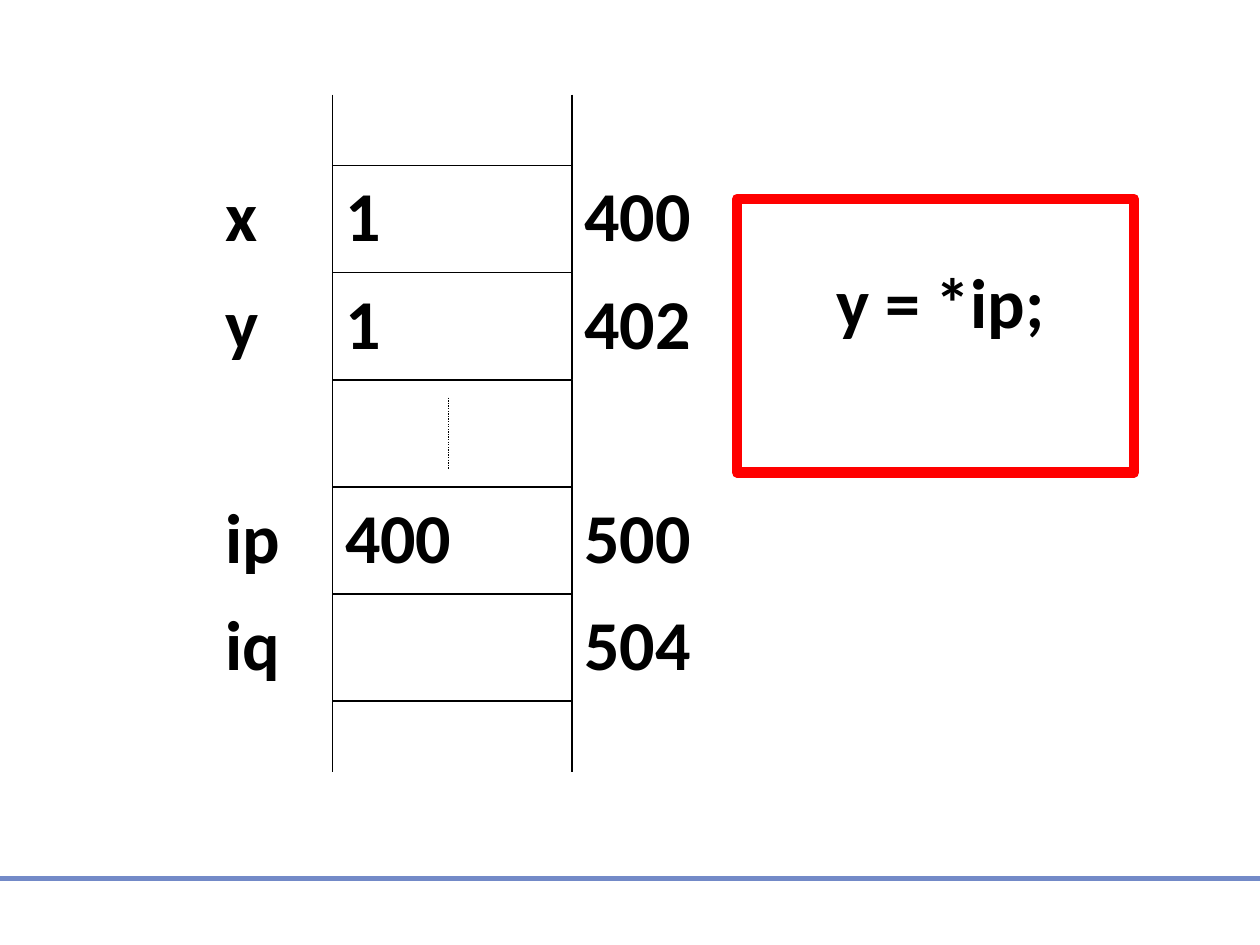
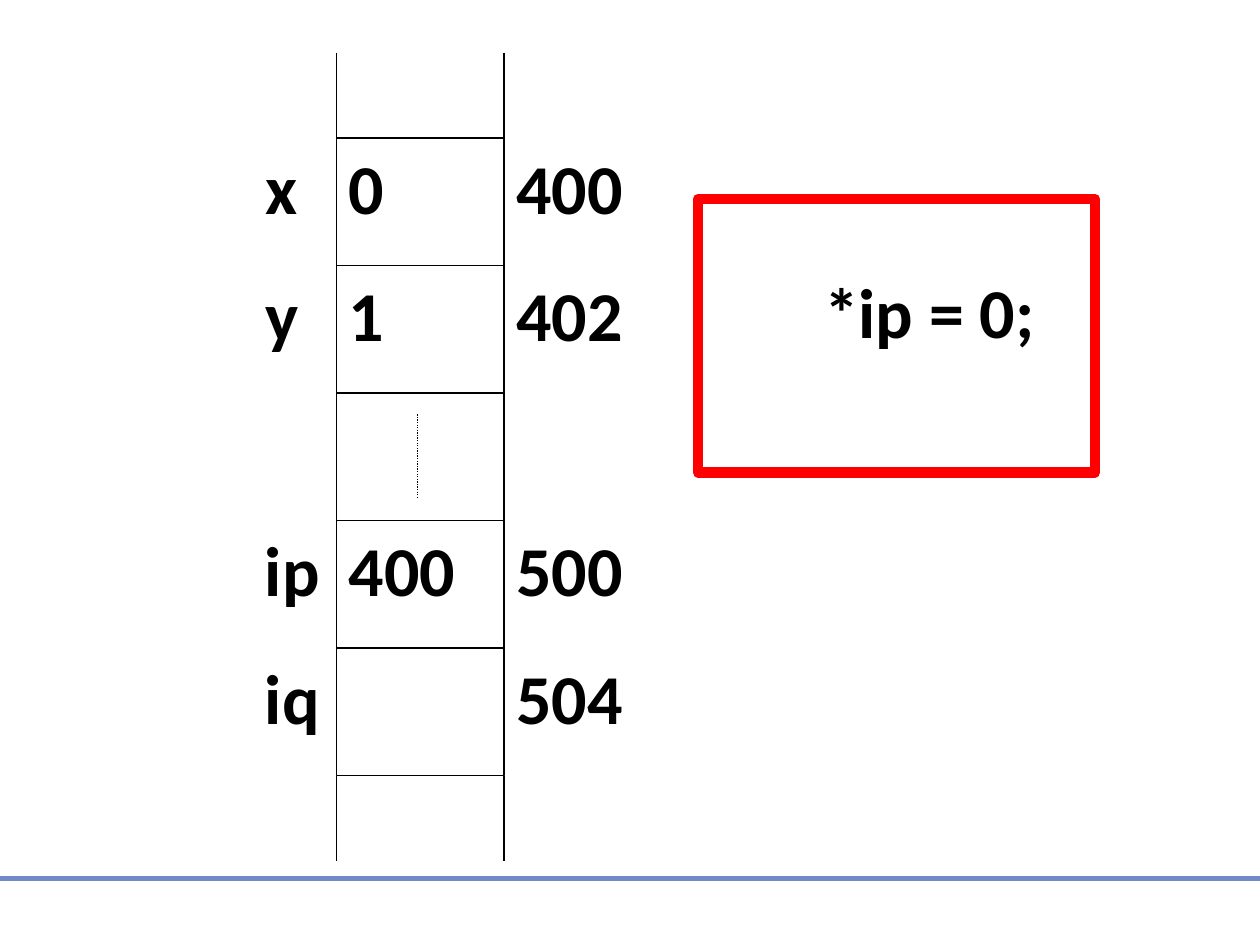
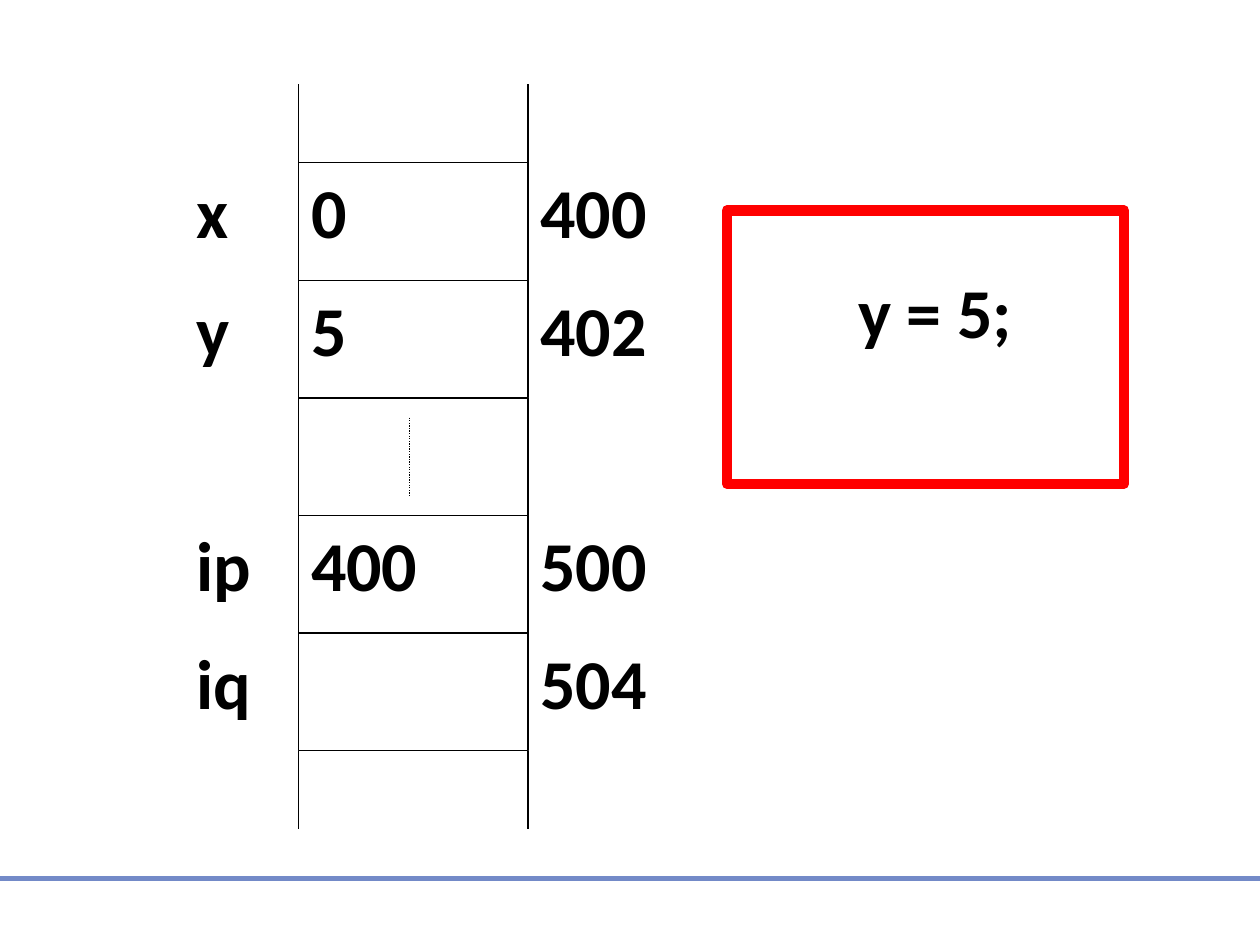
from lxml import etree
from pptx import Presentation
from pptx.dml.color import RGBColor
from pptx.enum import dml, shapes, text
from pptx.oxml import ns
from pptx.util import Inches, Pt

BLACK = RGBColor(0x00, 0x00, 0x00)
WHITE = RGBColor(0xFF, 0xFF, 0xFF)
RED = RGBColor(0xFF, 0x00, 0x00)
BLUE = RGBColor(0x73, 0x8A, 0xC8)

WIDTH, HEIGHT = 10, 7.5
FOOTER_TOP = 0.93 * HEIGHT
FRAME_SIZE = (3.15, 2.17)
TAIL = 2 / 3  # length of the open ends and of the dots, in rows

NAMES = ["x", "y", "", "ip", "iq"]
ADDRESSES = ["400", "402", "", "500", "504"]
GAP_ROW = 2

# memory: left, top, width, height of the cell column with its open ends
# statement: left, top, width, height of its text; indent is extra left margin
STEPS = [
    dict(values=["1", "1", "", "400", ""], memory=(2.64, 0.75, 1.9, 5.38),
         code="y = *ip;", statement=(6.54, 2, 2.15, 1.33), indent=0,
         frame=(5.85, 1.58)),
    dict(values=["0", "1", "", "400", ""], memory=(2.67, 0.42, 1.33, 6.41),
         code="*ip = 0;", statement=(6.31, 2.08, 2.15, 0.75), indent=0.13,
         frame=(5.54, 1.58)),
    dict(values=["0", "5", "", "400", ""], memory=(2.37, 0.67, 1.82, 5.91),
         code="y = 5;", statement=(6.46, 2.08, 2.15, 0.75), indent=0.25,
         frame=(5.77, 1.67)),
]


def write(box, words, indent=0):
    frame = box.text_frame
    frame.word_wrap = True
    frame.vertical_anchor = text.MSO_ANCHOR.TOP
    frame.margin_left = Inches(0.1 + indent)
    para = frame.paragraphs[0]
    para.text = words
    para.alignment = text.PP_ALIGN.LEFT
    font = para.font
    font.name, font.size, font.bold = "Calibri", Pt(40), True
    font.color.rgb = BLACK


def add_label(page, words, left, top, width, height, indent=0):
    box = page.shapes.add_textbox(*map(Inches, (left, top, width, height)))
    write(box, words, indent)


def add_box(page, left, top, width, height, color, weight):
    box = page.shapes.add_shape(shapes.MSO_SHAPE.RECTANGLE,
                                *map(Inches, (left, top, width, height)))
    box.shadow.inherit = False
    box.line.color.rgb = color
    box.line.width = Pt(weight)
    return box


def add_line(page, x1, y1, x2, y2, color=BLACK, weight=0.75):
    line = page.shapes.add_connector(shapes.MSO_CONNECTOR.STRAIGHT,
                                     *map(Inches, (x1, y1, x2, y2)))
    line.line.color.rgb = color
    line.line.width = Pt(weight)
    etree.SubElement(line._element.spPr, ns.qn("a:effectLst"))
    return line


def add_memory(page, values, left, top, width, height):
    """Draw the column of cells with names on its left, addresses on its right."""
    row = height / (len(values) + 2 * TAIL)
    tail = TAIL * row
    right, bottom = left + width, top + height
    for x in (left, right):
        add_line(page, x, top, x, top + tail)
        add_line(page, x, bottom - tail, x, bottom)
    for index, (name, value, address) in enumerate(zip(NAMES, values, ADDRESSES)):
        y = top + tail + index * row
        cell = add_box(page, left, y, width, row, BLACK, 0.75)
        cell.fill.solid()
        cell.fill.fore_color.rgb = WHITE
        if value:
            write(cell, value)
        if name:
            name_width = width * (1 / 2 if len(name) == 1 else 2 / 3)
            add_label(page, name, left - width / 2, y, name_width, row)
            add_label(page, address, right, y, width * 5 / 6, row)
        if index == GAP_ROW:
            x, start = left + 0.484 * width, y + (row - tail) / 2
            dots = add_line(page, x, start, x, start + tail)
            dots.line.dash_style = dml.MSO_LINE.ROUND_DOT


def main():
    deck = Presentation()
    deck.slide_width, deck.slide_height = Inches(WIDTH), Inches(HEIGHT)
    for step in STEPS:
        page = deck.slides.add_slide(deck.slide_layouts[6])
        add_line(page, 0, FOOTER_TOP, WIDTH, FOOTER_TOP, BLUE, 3)
        add_memory(page, step["values"], *step["memory"])
        add_label(page, step["code"], *step["statement"], step["indent"])
        add_box(page, *step["frame"], *FRAME_SIZE, RED, 6).fill.background()
    deck.save("out.pptx")


if __name__ == "__main__":
    main()
